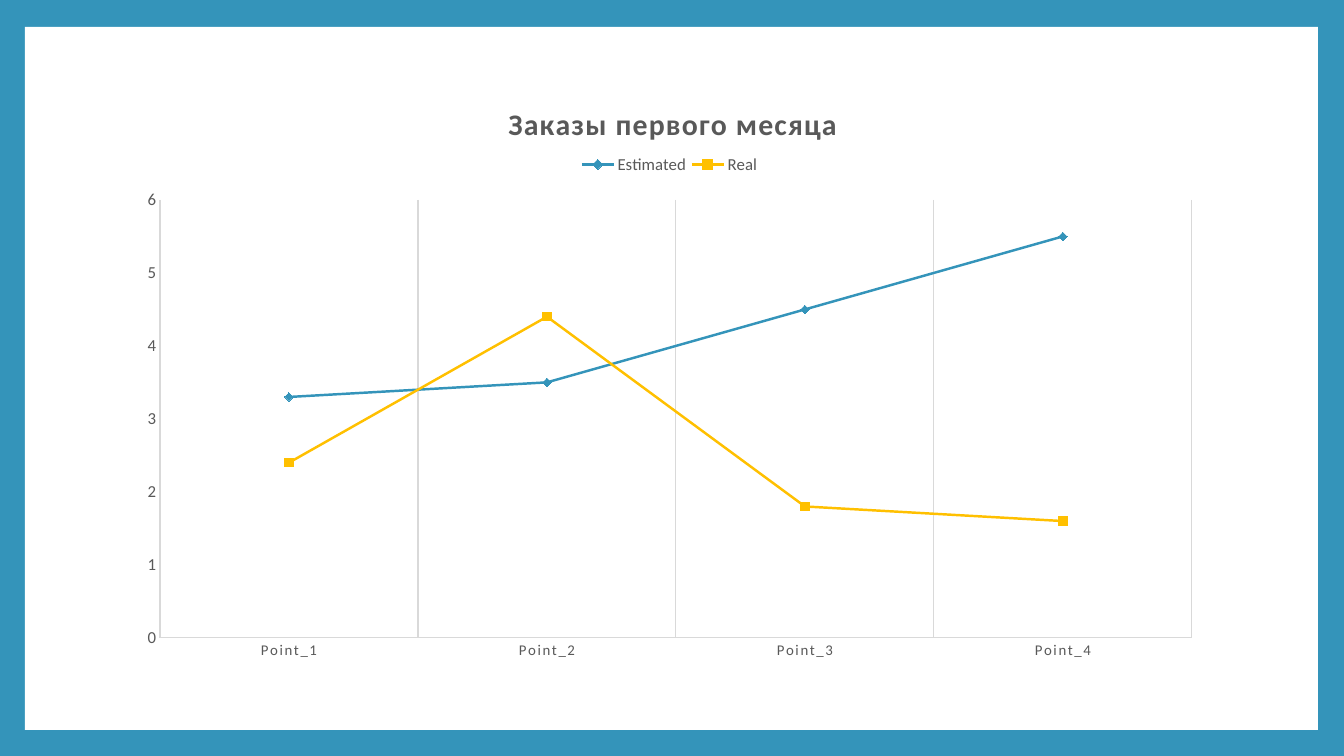
from lxml.etree import SubElement
from pptx import Presentation
from pptx.chart.data import CategoryChartData
from pptx.dml.color import RGBColor
from pptx.enum.chart import XL_CHART_TYPE as ChartType
from pptx.enum.chart import XL_LEGEND_POSITION as LegendPosition
from pptx.enum.chart import XL_MARKER_STYLE as Marker
from pptx.enum.chart import XL_TICK_MARK as TickMark
from pptx.enum.shapes import MSO_SHAPE as Preset
from pptx.oxml.ns import qn
from pptx.util import Emu, Pt

BLUE = RGBColor(0x34, 0x94, 0xBA)
GOLD = RGBColor(0xFF, 0xC0, 0x00)
WHITE = RGBColor(0xFF, 0xFF, 0xFF)
TEXT_GREY = RGBColor(0x59, 0x59, 0x59)
LINE_GREY = RGBColor(0xD9, 0xD9, 0xD9)

FONT = "Calibri"
SLIDE_SIZE = (1344, 756)
PANEL_BOX = (25, 27, 1293, 703)
CHART_BOX = (126, 72, 1089, 601)
TITLE_BOX = (503, 98, 334, 34)
LEGEND_BOX = (576, 152, 187, 25)
PLOT_BOX = (160, 200, 1032, 438)

TITLE = "Заказы первого месяца"
CATEGORIES = ["Point_1", "Point_2", "Point_3", "Point_4"]
SERIES = [
    ("Estimated", (3.3, 3.5, 4.5, 5.5), BLUE, Marker.DIAMOND),
    ("Real", (2.4, 4.4, 1.8, 1.6), GOLD, Marker.SQUARE),
]


def pixels(value):
    return Emu(round(value * 914400 / 100.8))


def format_font(font, size, bold=False):
    font.name = FONT
    font.size = Pt(size)
    font.bold = bold
    font.color.rgb = TEXT_GREY


def format_line(line, color, width):
    line.color.rgb = color
    line.width = Pt(width)


def place_part(part, index, box, outer, sized=True, inner=False):
    for layout in part.findall(qn("c:layout")):
        part.remove(layout)
    layout = part.makeelement(qn("c:layout"))
    part.insert(index, layout)
    manual = SubElement(layout, qn("c:manualLayout"))
    values = {"layoutTarget": "inner"} if inner else {}
    values.update(xMode="edge", yMode="edge")
    values["x"] = (box[0] - outer[0]) / outer[2]
    values["y"] = (box[1] - outer[1]) / outer[3]
    if sized:
        values["w"] = box[2] / outer[2]
        values["h"] = box[3] / outer[3]
    for name, value in values.items():
        SubElement(manual, qn(f"c:{name}")).set("val", str(value))


def format_axis(axis, size):
    axis.major_tick_mark = axis.minor_tick_mark = TickMark.NONE
    format_font(axis.tick_labels.font, size)
    format_line(axis.format.line, LINE_GREY, 0.75)


def add_panel(slide, box):
    panel = slide.shapes.add_shape(Preset.RECTANGLE, *map(pixels, box))
    panel.shadow.inherit = False
    panel.fill.solid()
    panel.fill.fore_color.rgb = WHITE
    panel.line.fill.background()


def add_orders_chart(slide, box):
    data = CategoryChartData()
    data.categories = CATEGORIES
    for name, values, _, _ in SERIES:
        data.add_series(name, values)
    chart = slide.shapes.add_chart(
        ChartType.LINE_MARKERS, *map(pixels, box), data
    ).chart
    chart.font.name = FONT
    chart.font.size = Pt(10)

    chart.has_title = True
    title_frame = chart.chart_title.text_frame
    title_frame.text = TITLE
    format_font(title_frame.paragraphs[0].runs[0].font, 21.3, bold=True)
    chart.chart_title.include_in_layout = False

    chart.has_legend = True
    chart.legend.position = LegendPosition.TOP
    chart.legend.include_in_layout = False
    format_font(chart.legend.font, 12)

    category_axis, value_axis = chart.category_axis, chart.value_axis
    format_axis(category_axis, 10.6)
    format_axis(value_axis, 12)
    category_axis.has_major_gridlines = True
    format_line(category_axis.major_gridlines.format.line, LINE_GREY, 0.75)
    value_axis.has_major_gridlines = False
    value_axis.minimum_scale, value_axis.maximum_scale = 0, 6
    value_axis.major_unit = 1

    plot = chart.plots[0]
    plot.vary_by_categories = False
    for series, (_, _, color, style) in zip(plot.series, SERIES):
        series.smooth = False
        format_line(series.format.line, color, 1.75)
        series.marker.style = style
        series.marker.size = 6
        series.marker.format.fill.solid()
        series.marker.format.fill.fore_color.rgb = color
        format_line(series.marker.format.line, color, 0.75)

    root = chart.element
    for query, spacing in ((".//c:title//a:rPr", 100), (".//c:catAx//a:defRPr", 120)):
        for properties in root.xpath(query):
            properties.set("spc", str(spacing))
    place_part(root.xpath(".//c:chart/c:title")[0], 1, TITLE_BOX, box, sized=False)
    place_part(root.xpath(".//c:legend")[0], 1, LEGEND_BOX, box)
    place_part(root.xpath(".//c:plotArea")[0], 0, PLOT_BOX, box, inner=True)


def build_orders_slide(presentation):
    slide = presentation.slides.add_slide(presentation.slide_layouts[6])
    slide.background.fill.solid()
    slide.background.fill.fore_color.rgb = BLUE
    add_panel(slide, PANEL_BOX)
    add_orders_chart(slide, CHART_BOX)


presentation = Presentation()
presentation.slide_width, presentation.slide_height = map(pixels, SLIDE_SIZE)
build_orders_slide(presentation)
presentation.save("out.pptx")
